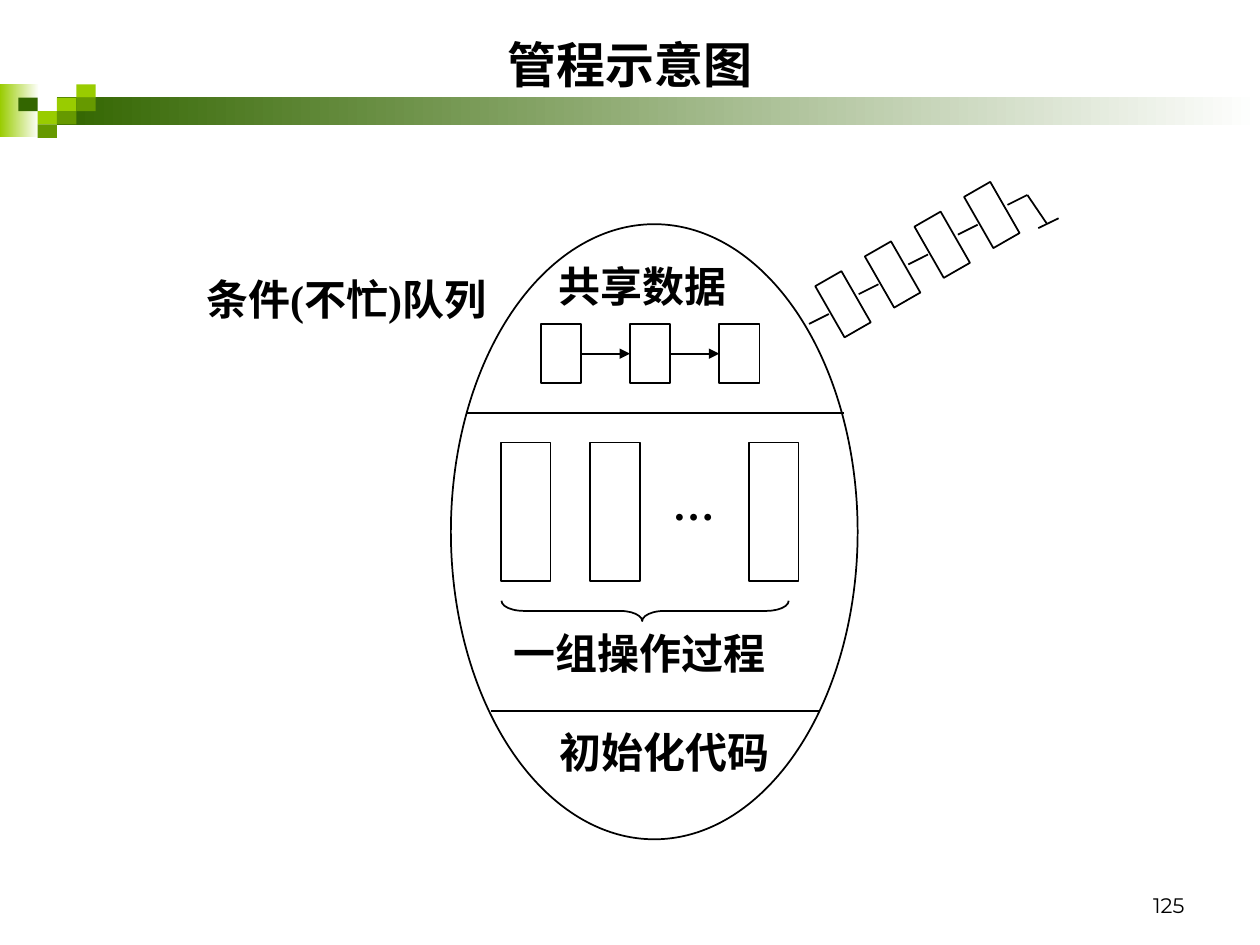
from typing import NamedTuple, Optional

from lxml.etree import SubElement
from pptx import Presentation
from pptx.dml.color import RGBColor
from pptx.enum.shapes import MSO_CONNECTOR as Connector, MSO_SHAPE as Preset
from pptx.enum.text import MSO_ANCHOR as Anchor, PP_ALIGN as Align
from pptx.oxml.ns import qn
from pptx.util import Cm, Pt

BLACK, WHITE = "000000", "FFFFFF"
LIME, GREEN, FOREST = "99CC00", "669900", "336600"


class Box(NamedTuple):
    left: float
    top: float
    width: float
    height: float


class Block(NamedTuple):
    box: Box
    fill: Optional[str] = WHITE
    line: Optional[str] = BLACK
    fade: Optional[str] = None
    preset: Preset = Preset.RECTANGLE
    rotation: float = 0


class Link(NamedTuple):
    x1: float
    y1: float
    x2: float
    y2: float
    arrow: bool = False


class Label(NamedTuple):
    text: str
    box: Box


def color(value: str) -> RGBColor:
    return RGBColor.from_string(value)


def draw_block(slide, block: Block):
    shape = slide.shapes.add_shape(block.preset, *map(Cm, block.box))
    shape.shadow.inherit = False
    shape.rotation = block.rotation
    if block.fade:
        shape.fill.gradient()
        shape.fill.gradient_angle = 0
        for stop, value, position in zip(
            shape.fill.gradient_stops, (block.fill, block.fade), (0, 1)
        ):
            stop.color.rgb = color(value)
            stop.position = position
    elif block.fill:
        shape.fill.solid()
        shape.fill.fore_color.rgb = color(block.fill)
    else:
        shape.fill.background()
    if block.line:
        shape.line.color.rgb = color(block.line)
        shape.line.width = Pt(1)
    else:
        shape.line.fill.background()
    return shape


def draw_link(slide, link: Link) -> None:
    connector = slide.shapes.add_connector(
        Connector.STRAIGHT, Cm(link.x1), Cm(link.y1), Cm(link.x2), Cm(link.y2)
    )
    connector.line.color.rgb = color(BLACK)
    connector.line.width = Pt(1)
    properties = connector._element.spPr
    if link.arrow:
        SubElement(properties.find(qn("a:ln")), qn("a:tailEnd"), type="triangle")
    SubElement(properties, qn("a:effectLst"))


def add_text(slide, text: str, box: Box, *, size: float = 24,
             font: str = "Times New Roman", bold: bool = True,
             align: Align = Align.CENTER, anchor: Anchor = Anchor.TOP,
             wrap: bool = False) -> None:
    frame = slide.shapes.add_textbox(*map(Cm, box)).text_frame
    frame.word_wrap = wrap
    frame.vertical_anchor = anchor
    paragraph = frame.paragraphs[0]
    paragraph.alignment = align
    run = paragraph.add_run()
    run.text = text
    run.font.size = Pt(size)
    run.font.name = font
    run.font.bold = bold
    run.font.color.rgb = color(BLACK)


def draw_header(slide) -> None:
    draw_block(slide, Block(Box(0, 1.7, 0.79, 1.07), LIME, None, WHITE))
    draw_block(slide, Block(Box(1.14, 1.96, 24.26, 0.56), FOREST, None, WHITE))
    mosaic = [(2, 1, LIME), (3, 0, LIME), (3, 1, GREEN), (1, 2, LIME),
              (0, 1, FOREST), (2, 2, GREEN), (1, 3, GREEN)]
    for column, row, fill in mosaic:
        box = Box(0.37 + 0.39 * column, 1.7 + 0.27 * row, 0.39, 0.27)
        draw_block(slide, Block(box, fill, None))
    add_text(slide, "管程示意图", Box(1.27, 0.43, 22.86, 1.7), size=28,
             font="Arial", anchor=Anchor.MIDDLE, wrap=True)
    add_text(slide, "125", Box(18.2, 17.35, 5.93, 1.27), size=12,
             font="Montserrat", bold=False, align=Align.RIGHT,
             anchor=Anchor.BOTTOM, wrap=True)


def draw_monitor(slide) -> None:
    draw_block(slide, Block(Box(9.09, 4.52, 8.2, 12.4), None, preset=Preset.OVAL))
    for index in range(3):
        left = 10.9 + 1.8 * index
        draw_block(slide, Block(Box(left, 6.53, 0.81, 1.19)))
        if index:
            draw_link(slide, Link(left - 0.99, 7.13, left, 7.13, arrow=True))
    for left in (10.1, 11.9, 15.1):
        draw_block(slide, Block(Box(left, 8.92, 1, 2.79)))
    for divider in (Link(9.42, 8.33, 17.02, 8.33), Link(9.9, 14.33, 16.52, 14.33)):
        draw_link(slide, divider)
    brace = draw_block(slide, Block(Box(12.8, 9.42, 0.41, 5.79), None,
                                    preset=Preset.LEFT_BRACE, rotation=270))
    brace.adjustments[0] = 1.1
    brace.adjustments[1] = 0.49
    labels = [
        Label("初始化代码", Box(9.7, 14.53, 7.39, 1.27)),
        Label("…", Box(13.31, 9.53, 1.35, 1.27)),
        Label("一组操作过程", Box(10.1, 12.52, 5.6, 1.27)),
        Label("共享数据", Box(11, 5.13, 3.9, 1.27)),
        Label("条件(不忙)队列", Box(3.5, 5.38, 6.96, 1.27)),
    ]
    for label in labels:
        add_text(slide, label.text, label.box)


def draw_queue(slide, count: int = 4) -> None:
    for index in range(count + 1):
        x, y = 16.31 + index, 6.53 - 0.6 * index
        if index < count:
            box = Box(x + 0.38, y - 0.99, 0.61, 1.19)
            draw_block(slide, Block(box, rotation=330.2))
        draw_link(slide, Link(x, y, x + 0.4, y - 0.2))
    draw_link(slide, Link(20.71, 3.93, 21.11, 4.52))
    draw_link(slide, Link(20.93, 4.6, 21.34, 4.4))


def main() -> None:
    presentation = Presentation()
    presentation.slide_width, presentation.slide_height = Cm(25.4), Cm(19.05)
    slide = presentation.slides.add_slide(presentation.slide_layouts[6])
    draw_header(slide)
    draw_monitor(slide)
    draw_queue(slide)
    presentation.save("out.pptx")


if __name__ == "__main__":
    main()
